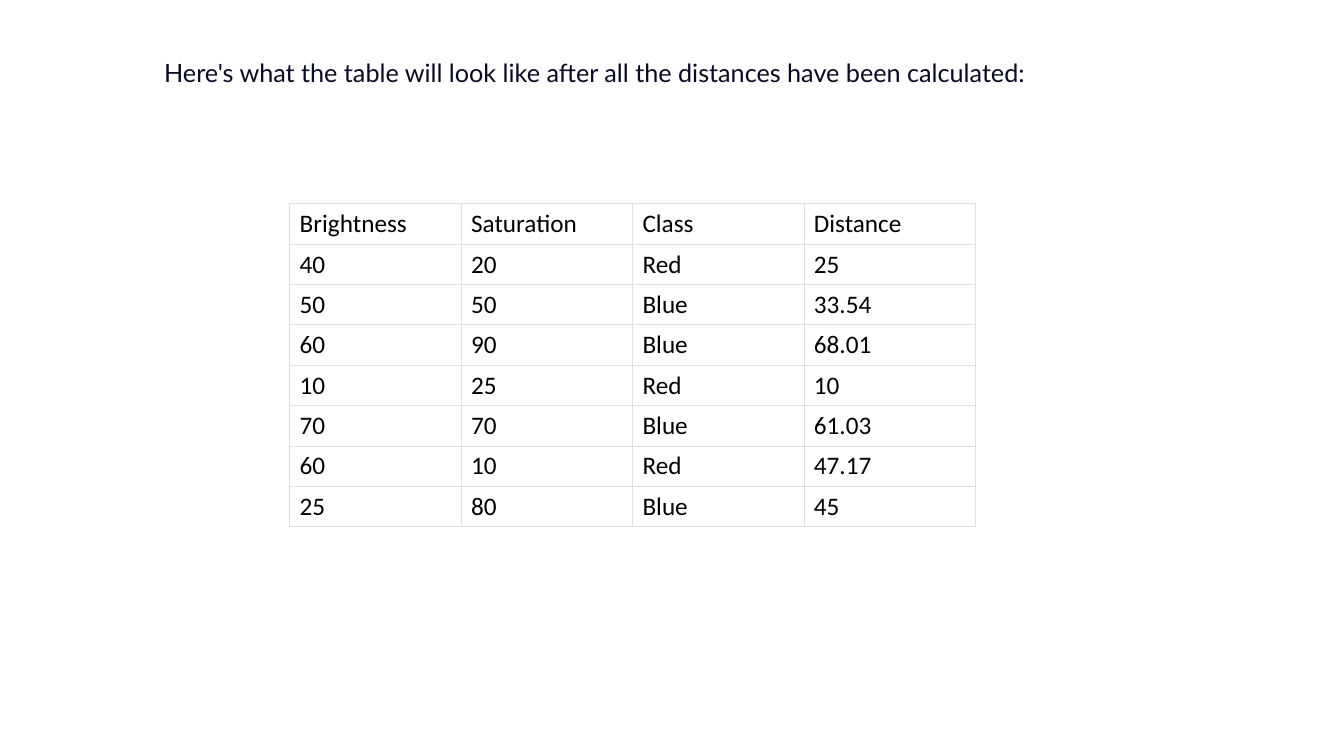
from lxml import etree
from pptx import Presentation
from pptx.dml.color import RGBColor
from pptx.enum.text import MSO_AUTO_SIZE
from pptx.oxml.ns import qn
from pptx.util import Inches, Pt

GROW = MSO_AUTO_SIZE.SHAPE_TO_FIT_TEXT
NAVY = RGBColor(0x0A, 0x0A, 0x23)
BLACK = RGBColor(0x00, 0x00, 0x00)
GREY = RGBColor(0xDF, 0xDF, 0xE2)
COL, ROW = Inches(1.7), Inches(0.4)
RULE = Pt(0.48)

LEAD = "Here's what the table will look like after all the distances have been calculated:"
DATA = [
    ("Brightness", "Saturation", "Class", "Distance"),
    ("40", "20", "Red", "25"),
    ("50", "50", "Blue", "33.54"),
    ("60", "90", "Blue", "68.01"),
    ("10", "25", "Red", "10"),
    ("70", "70", "Blue", "61.03"),
    ("60", "10", "Red", "47.17"),
    ("25", "80", "Blue", "45"),
]


class Page:
    """A slide whose lengths are given in grid columns and rows."""

    def __init__(self, slide):
        self.slide = slide
        self.lead = {"name": "Lato", "size": Pt(18), "color": NAVY}
        self.body = {"name": "Calibri", "size": Pt(18), "color": BLACK}

    def place(self, x, y, w, h):
        return [int(n) for n in (x * COL, y * ROW, w * COL, h * ROW)]

    def label(self, frame, text, form):
        para = frame.paragraphs[0]
        run = para.add_run()
        run.text = text
        for key, value in form.items():
            if key == "color":
                run.font.color.rgb = value
            else:
                setattr(run.font, key, value)

    def text(self, text, x, y, w, h):
        frame = self.slide.shapes.add_textbox(*self.place(x, y, w, h)).text_frame
        for key, value in {"word_wrap": True, "auto_size": GROW}.items():
            setattr(frame, key, value)
        self.label(frame, text, self.lead)

    def edge(self, cell):
        """Draw a thin rule on all four sides of a cell."""
        props = cell._tc.get_or_add_tcPr()
        for i, side in enumerate(("lnL", "lnR", "lnT", "lnB")):
            line = etree.Element(qn("a:" + side), w=str(int(RULE)))
            fill = etree.SubElement(line, qn("a:solidFill"))
            etree.SubElement(fill, qn("a:srgbClr"), val=str(GREY))
            props.insert(i, line)

    def table(self, data, x, y):
        rows, cols = len(data), len(data[0])
        area = self.place(x, y, cols, rows)
        table = self.slide.shapes.add_table(rows, cols, *area).table
        for key in ("first_row", "horz_banding"):
            setattr(table, key, False)
        for r, row in enumerate(data):
            for c, text in enumerate(row):
                cell = table.cell(r, c)
                cell.fill.background()
                self.edge(cell)
                self.label(cell.text_frame, text, self.body)


def main():
    deck = Presentation()
    deck.slide_width, deck.slide_height = Inches(13.33), Inches(7.5)
    page = Page(deck.slides.add_slide(deck.slide_layouts[6]))
    page.text(LEAD, 0.9, 1.3, 6.02, 1)
    page.table(DATA, 1.69, 5.05)
    deck.save("out.pptx")


if __name__ == "__main__":
    main()
